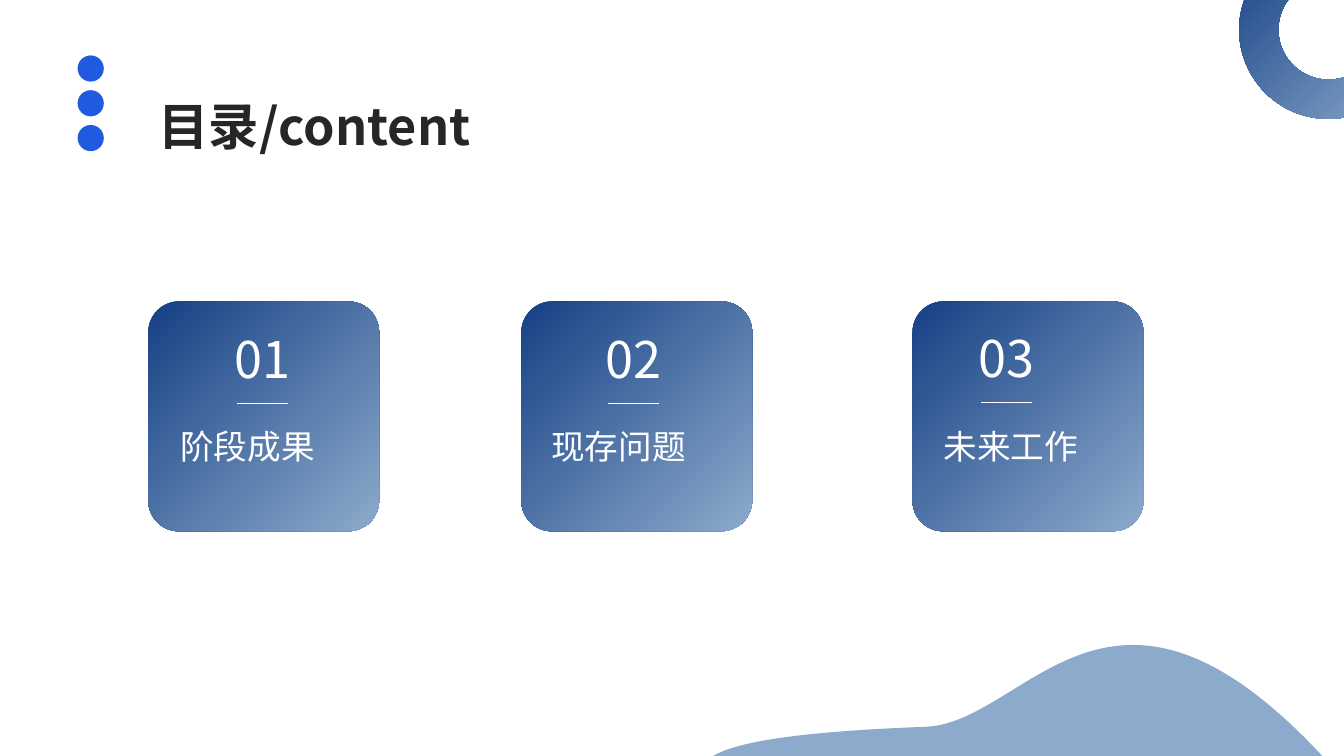
from lxml import etree
from pptx import Presentation, util as u
from pptx.dml.color import RGBColor
from pptx.enum import shapes, text
from pptx.oxml import ns

FONT = "Noto Sans CJK SC"
BRIGHT_BLUE = RGBColor(0x1F, 0x5A, 0xDF)
DEEP_BLUE = RGBColor(0x15, 0x40, 0x84)
PALE_BLUE = RGBColor(0x8C, 0xAA, 0xCB)
INK = RGBColor(0x26, 0x26, 0x26)
WHITE = RGBColor(0xFF, 0xFF, 0xFF)


def write(shape, words, size, color, align, bold=False):
    """Fill a text shape with one formatted paragraph."""
    frame = shape.text_frame
    frame.text = words
    frame.word_wrap = True
    frame.auto_size = text.MSO_AUTO_SIZE.SHAPE_TO_FIT_TEXT
    frame.vertical_anchor = text.MSO_ANCHOR.TOP
    paragraph = frame.paragraphs[0]
    paragraph.alignment = align
    font = paragraph.font
    font.name, font.size, font.bold = FONT, u.Pt(size), bold
    font.color.rgb = color
    defaults = paragraph._p.pPr.find(ns.qn("a:defRPr"))
    etree.SubElement(defaults, ns.qn("a:ea"), typeface=FONT)


def add_gradient_shape(kind, left, top, width, height, adjustment):
    shape = slide.shapes.add_shape(
        kind, u.Inches(left), u.Inches(top), u.Inches(width), u.Inches(height))
    shape.adjustments[0] = adjustment
    shape.shadow.inherit = False
    shape.line.fill.background()
    shape.fill.gradient()
    shape.fill.gradient_angle = 315
    for stop, color in zip(shape.fill.gradient_stops, (DEEP_BLUE, PALE_BLUE)):
        stop.color.rgb = color


presentation = Presentation()
presentation.slide_width = u.Inches(13.33)
presentation.slide_height = u.Inches(7.5)
slide = presentation.slides.add_slide(presentation.slide_layouts[5])

# Title with its column of dots
title = slide.shapes.title
title.left, title.top = u.Inches(1.47), u.Inches(0.89)
title.width, title.height = u.Inches(3.56), u.Inches(0.71)
write(title, "目录/content", 36, INK, text.PP_ALIGN.LEFT, bold=True)

dots = slide.shapes.add_group_shape()
for row in range(3):
    dot = dots.shapes.add_shape(
        shapes.MSO_SHAPE.OVAL, u.Inches(0.77), u.Inches(0.55 + 0.345 * row),
        u.Inches(0.26), u.Inches(0.26))
    dot.shadow.inherit = False
    dot.fill.solid()
    dot.fill.fore_color.rgb = BRIGHT_BLUE
    dot.line.fill.background()

# Corner ring
add_gradient_shape(shapes.MSO_SHAPE.DONUT, 12.29, -0.59, 1.77, 1.77, 0.22)

# Bottom wave, in hundredths of an inch: a frame whose sides become curves
WAVE_LEFT, WAVE_TOP, WAVE_RIGHT, WAVE_BOTTOM = 698, 640, 1317, 817
wave_start = (710, 781)
wave_curves = [
    ((651, 735), (818, 725), (919, 721)),
    ((1020, 716), (1102, 520), (1317, 756)),
    ((1317, 784), (1115, 808), (1014, 812)),
    ((913, 816), (769, 828), wave_start),
]
builder = slide.shapes.build_freeform(WAVE_LEFT, WAVE_TOP, scale=u.Inches(0.01))
builder.add_line_segments([
    (WAVE_RIGHT, WAVE_TOP), (WAVE_RIGHT, WAVE_BOTTOM), (WAVE_LEFT, WAVE_BOTTOM)])
wave = builder.convert_to_shape()
wave.shadow.inherit = False
wave.fill.solid()
wave.fill.fore_color.rgb = PALE_BLUE
wave.line.fill.background()

outline = next(wave._element.iter(ns.qn("a:pathLst")))[0]
for command in list(outline):
    outline.remove(command)
commands = [("a:moveTo", [wave_start])]
commands += [("a:cubicBezTo", curve) for curve in wave_curves]
commands.append(("a:close", []))
for tag, points in commands:
    command = etree.SubElement(outline, ns.qn(tag))
    for x, y in points:
        etree.SubElement(command, ns.qn("a:pt"),
                         x=str(x - WAVE_LEFT), y=str(y - WAVE_TOP))

# Cards: number, label, then the left edges of card, number and label, number top
cards = [
    ("01", "阶段成果", 1.47, 2.06, 1.69, 3.21),
    ("02", "现存问题", 5.17, 5.74, 5.37, 3.21),
    ("03", "未来工作", 9.05, 9.44, 9.26, 3.2),
]
for number, label, card_left, number_left, label_left, number_top in cards:
    add_gradient_shape(
        shapes.MSO_SHAPE.ROUNDED_RECTANGLE, card_left, 2.99, 2.29, 2.28, 0.134)
    number_box = slide.shapes.add_textbox(
        u.Inches(number_left), u.Inches(number_top), u.Inches(1.09), u.Inches(0.71))
    write(number_box, number, 36, WHITE, text.PP_ALIGN.CENTER)
    label_box = slide.shapes.add_textbox(
        u.Inches(label_left), u.Inches(4.18), u.Inches(1.85), u.Inches(0.5))
    write(label_box, label, 24, WHITE, text.PP_ALIGN.JUSTIFY)

    rule_left, rule_top = number_left + 0.29, number_top + 0.79
    rule = slide.shapes.add_connector(
        shapes.MSO_CONNECTOR.STRAIGHT, u.Inches(rule_left), u.Inches(rule_top),
        u.Inches(rule_left + 0.51), u.Inches(rule_top))
    rule.line.color.rgb = WHITE
    rule.line.width = u.Pt(0.5)
    etree.SubElement(rule._element.spPr, ns.qn("a:effectLst"))

presentation.save("out.pptx")
